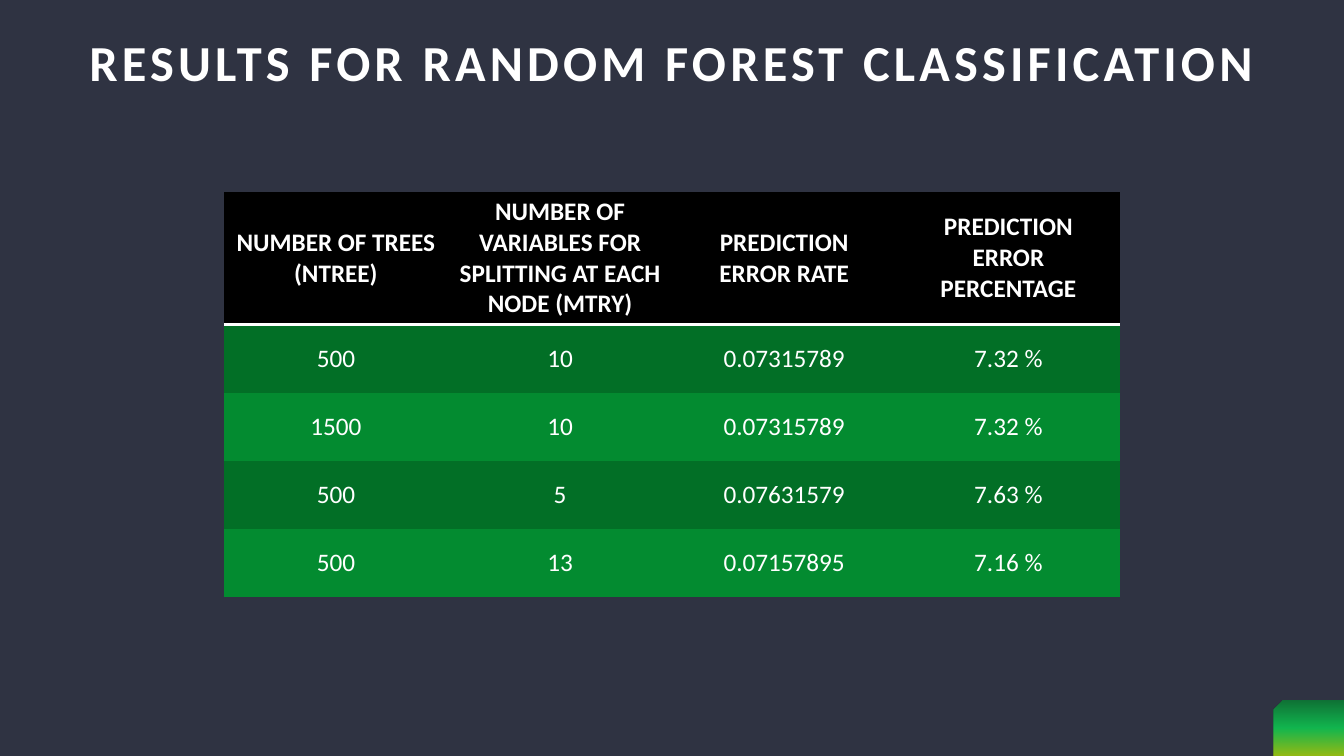
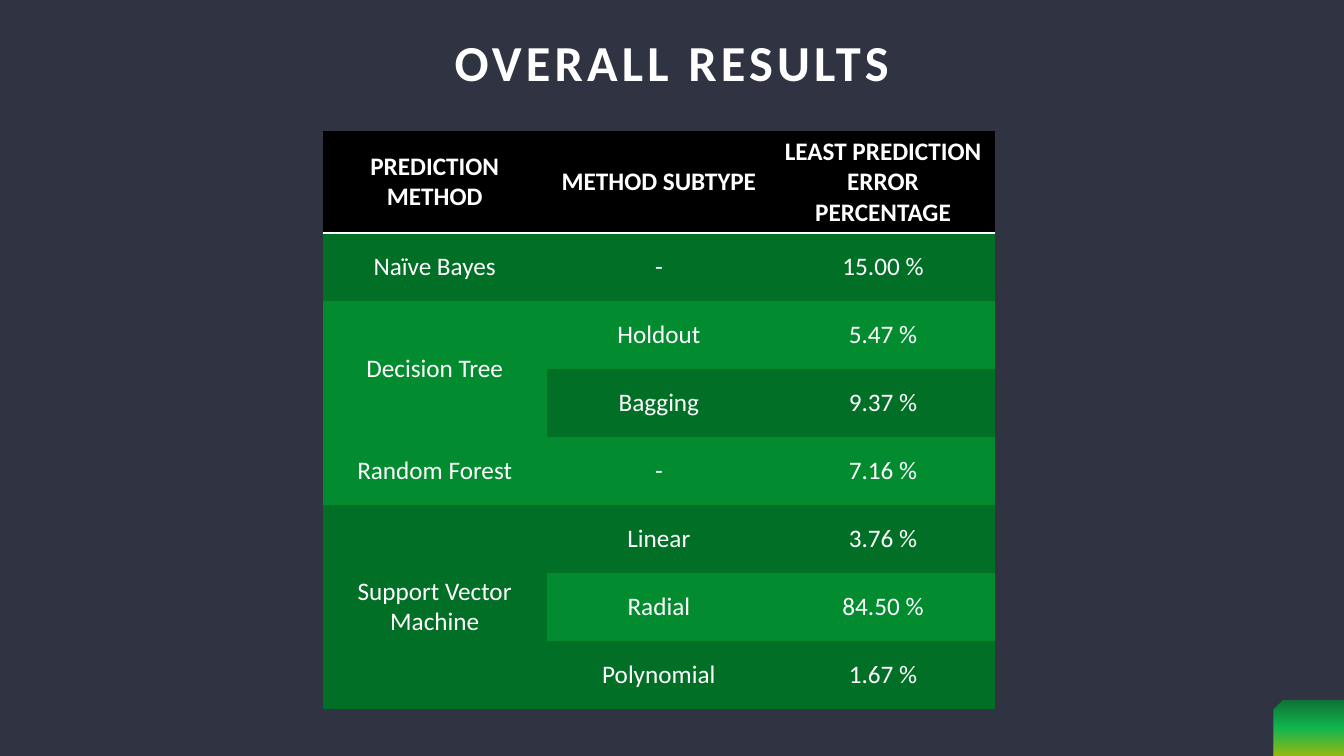
from dataclasses import dataclass

from lxml.etree import SubElement
from pptx import Presentation
from pptx.dml.color import RGBColor as Rgb
from pptx.enum.shapes import MSO_SHAPE as Shape
from pptx.enum.text import MSO_ANCHOR as Anchor, PP_ALIGN as Align
from pptx.oxml import parse_xml
from pptx.oxml.ns import nsdecls, qn
from pptx.slide import Slide
from pptx.table import Table, _Cell as Cell
from pptx.text.text import TextFrame as Frame
from pptx.util import Inches, Pt


@dataclass(frozen=True)
class Theme:
    font: str = "Calibri"
    back: str = "2F3342"
    text: str = "FFFFFF"
    head: str = "000000"
    bands: tuple[str, str] = ("026F26", "038B30")
    glow: tuple[str, str, str] = ("038B30", "05EE55", "C0F400")
    opacity: int = 70
    title_size: int = 36
    cell_size: int = 18
    title_gap: int = 3
    rule: int = 2


@dataclass(frozen=True)
class Page:
    title: str
    inset: float
    left: float
    top: float
    head_high: float
    head: tuple[str, ...]
    rows: tuple[tuple[str, ...], ...]


THEME = Theme()
WIDE, HIGH = 13.33, 7.5
TITLE_HIGH = 1.3
COL_WIDE = Inches(6.67) // 3
ROW_HIGH = Inches(2.7) // 4
PLAIN_STYLE = "{2D5ABB26-0587-4C30-8999-92F81FD0307C}"

# An empty first cell joins the cell above it.
PAGES = (
    Page(
        "RESULTS FOR RANDOM FOREST CLASSIFICATION", 0.65, 2.22, 1.9, 1.32,
        ("NUMBER OF TREES (NTREE)",
         "NUMBER OF VARIABLES FOR SPLITTING AT EACH NODE (MTRY)",
         "PREDICTION ERROR RATE", "PREDICTION ERROR PERCENTAGE"),
        (("500", "10", "0.07315789", "7.32 %"),
         ("1500", "10", "0.07315789", "7.32 %"),
         ("500", "5", "0.07631579", "7.63 %"),
         ("500", "13", "0.07157895", "7.16 %")),
    ),
    Page(
        "OVERALL RESULTS", 0, 3.2, 1.3, 1.01,
        ("PREDICTION METHOD", "METHOD SUBTYPE",
         "LEAST PREDICTION ERROR PERCENTAGE"),
        (("Naïve Bayes", "-", "15.00 %"),
         ("Decision Tree", "Holdout", "5.47 %"),
         ("", "Bagging", "9.37 %"),
         ("Random Forest", "-", "7.16 %"),
         ("Support Vector Machine", "Linear", "3.76 %"),
         ("", "Radial", "84.50 %"),
         ("", "Polynomial", "1.67 %")),
    ),
)


def put_text(frame: Frame, text: str, *, size: int, bold: bool = False,
             gap: int = 0, leading: float = 1.0) -> None:
    """Write one centred paragraph; gap is the letter spacing in points."""
    frame.word_wrap = True
    para = frame.paragraphs[0]
    para.alignment = Align.CENTER
    para.line_spacing = leading
    run = para.add_run()
    run.text = text
    font = run.font
    font.name, font.size, font.bold = THEME.font, Pt(size), bold
    font.color.rgb = Rgb.from_string(THEME.text)
    if gap:
        run._r.get_or_add_rPr().set("spc", str(gap * 100))


def add_title(slide: Slide, page: Page) -> None:
    box = slide.shapes.add_textbox(
        Inches(page.inset), 0, Inches(WIDE - 2 * page.inset),
        Inches(TITLE_HIGH))
    box.text_frame.vertical_anchor = Anchor.MIDDLE
    put_text(box.text_frame, page.title, size=THEME.title_size, bold=True,
             gap=THEME.title_gap, leading=0.9)


def add_corner(slide: Slide) -> None:
    """Draw the glowing tab in the lower right corner."""
    wide, high = 0.7, 0.55
    tab = slide.shapes.add_shape(
        Shape.SNIP_1_RECTANGLE, Inches(WIDE - wide), Inches(HIGH - high),
        Inches(wide), Inches(high))
    tab.shadow.inherit = False
    tab.line.fill.background()
    tab.fill.gradient()
    props = tab._element.spPr
    props.find(qn("a:xfrm")).set("flipH", "1")
    stops = "".join(
        f'<a:gs pos="{i * 50000}"><a:srgbClr val="{color}">'
        f'<a:alpha val="{THEME.opacity * 1000}"/></a:srgbClr></a:gs>'
        for i, color in enumerate(THEME.glow))
    props.replace(props.find(qn("a:gradFill")), parse_xml(
        f'<a:gradFill {nsdecls("a")} rotWithShape="1"><a:gsLst>{stops}'
        '</a:gsLst><a:lin ang="5400000" scaled="0"/></a:gradFill>'))


def fill_cell(cell: Cell, text: str, color: str, bold: bool) -> None:
    cell.fill.solid()
    cell.fill.fore_color.rgb = Rgb.from_string(color)
    cell.vertical_anchor = Anchor.MIDDLE
    if text:
        put_text(cell.text_frame, text, size=THEME.cell_size, bold=bold)


def rule_below(cell: Cell) -> None:
    props = cell._tc.get_or_add_tcPr()
    line = SubElement(props, qn("a:lnB"), w=str(Pt(THEME.rule)))
    fill = SubElement(line, qn("a:solidFill"))
    SubElement(fill, qn("a:srgbClr"), val=THEME.text)
    props.insert(0, line)


def join_rows(grid: Table, rows: tuple[tuple[str, ...], ...]) -> None:
    """Merge each first cell with the empty ones below it."""
    start = 1
    for r, row in enumerate(rows, 1):
        if row[0]:
            start = r
        if r == len(rows) or rows[r][0]:
            if r > start:
                grid.cell(start, 0).merge(grid.cell(r, 0))


def add_grid(slide: Slide, page: Page) -> None:
    count, cols = len(page.rows), len(page.head)
    head_high = Inches(page.head_high)
    grid = slide.shapes.add_table(
        count + 1, cols, Inches(page.left), Inches(page.top),
        COL_WIDE * cols, head_high + ROW_HIGH * count).table
    grid._tbl.tblPr.find(qn("a:tableStyleId")).text = PLAIN_STYLE
    for col in grid.columns:
        col.width = COL_WIDE
    for r, row in enumerate((page.head, *page.rows)):
        is_head = r == 0
        grid.rows[r].height = head_high if is_head else ROW_HIGH
        color = THEME.head if is_head else THEME.bands[(r - 1) % 2]
        for c, text in enumerate(row):
            cell = grid.cell(r, c)
            fill_cell(cell, text, color, is_head)
            if is_head:
                rule_below(cell)
    join_rows(grid, page.rows)


def main() -> None:
    deck = Presentation()
    deck.slide_width, deck.slide_height = Inches(WIDE), Inches(HIGH)
    for page in PAGES:
        slide = deck.slides.add_slide(deck.slide_layouts[6])
        slide.background.fill.solid()
        slide.background.fill.fore_color.rgb = Rgb.from_string(THEME.back)
        add_corner(slide)
        add_title(slide, page)
        add_grid(slide, page)
    deck.save("out.pptx")


if __name__ == "__main__":
    main()
